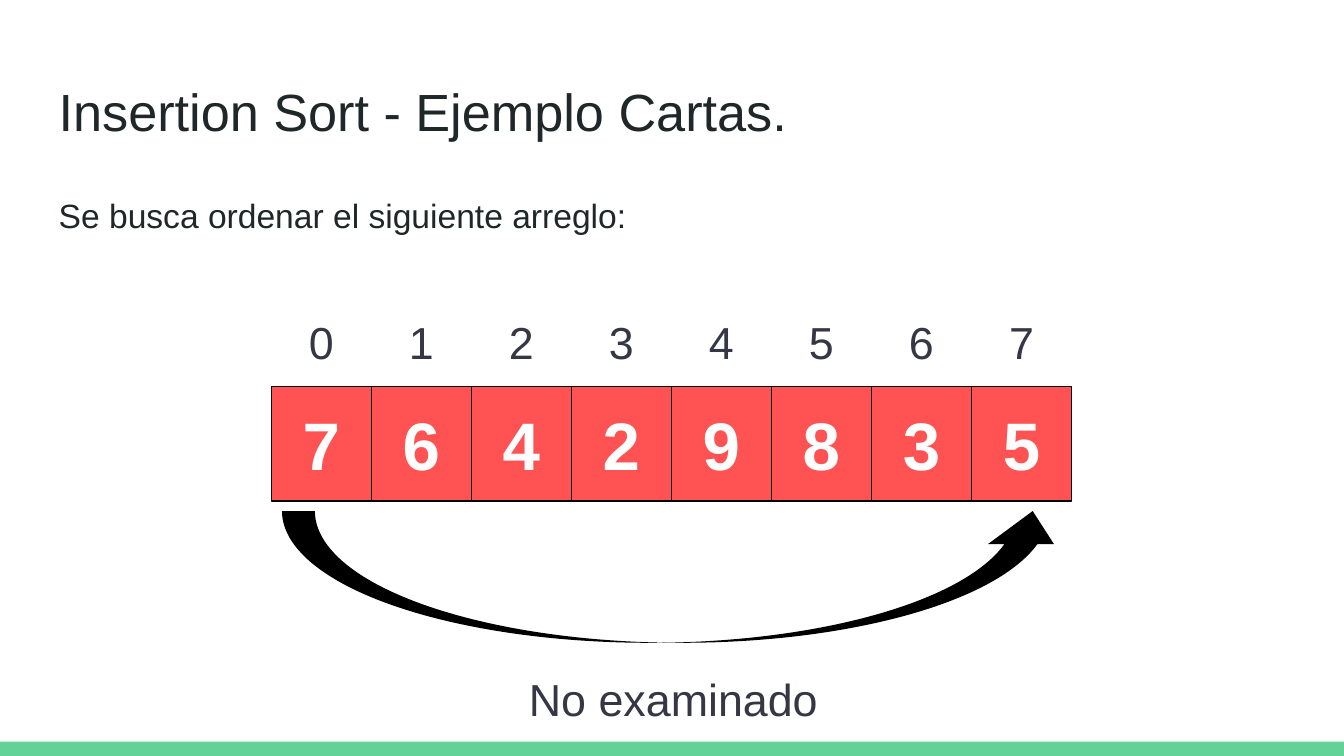
from dataclasses import dataclass

from lxml import etree
from pptx import Presentation
from pptx import util as u
from pptx.dml.color import RGBColor
from pptx.enum import shapes, text

COLORS = {
    "bar": "63D297",
    "cell": "FF5252",
    "outline": "000000",
    "arrow": "000000",
    "heading": "202729",
    "label": "353744",
    "value": "FFFFFF",
}
FONT = "Arial"
VALUES = (7, 6, 4, 2, 9, 8, 3, 5)
ARRAY_LEFT = 5.13
CELL_WIDTH = 1.89
LABEL_HEIGHT = 1.6


@dataclass(frozen=True)
class Box:
    left: float
    top: float
    width: float
    height: float

    def lengths(self) -> tuple:
        return tuple(u.Cm(side) for side in (self.left, self.top, self.width, self.height))


@dataclass(frozen=True)
class Style:
    size: int
    color: str
    align: text.PP_ALIGN = text.PP_ALIGN.CENTER
    anchor: text.MSO_ANCHOR = text.MSO_ANCHOR.BOTTOM
    bold: bool = False


HEADING = Style(28, "heading", text.PP_ALIGN.LEFT, text.MSO_ANCHOR.TOP)
SUBHEADING = Style(18, "heading", text.PP_ALIGN.LEFT, text.MSO_ANCHOR.TOP)
LABEL = Style(24, "label")
VALUE = Style(36, "value", anchor=text.MSO_ANCHOR.MIDDLE, bold=True)


def rgb(name: str) -> RGBColor:
    return RGBColor.from_string(COLORS[name])


def write(shape, words: str, style: Style) -> None:
    frame = shape.text_frame
    frame.word_wrap = True
    frame.vertical_anchor = style.anchor
    frame.margin_left = frame.margin_right = u.Cm(0.25)
    frame.margin_top = frame.margin_bottom = u.Cm(0.25)
    paragraph = frame.paragraphs[0]
    paragraph.text = words
    paragraph.alignment = style.align
    paragraph.font.name = FONT
    paragraph.font.size = u.Pt(style.size)
    paragraph.font.bold = style.bold
    paragraph.font.color.rgb = rgb(style.color)


def add_label(slide, box: Box, words: str, style: Style) -> None:
    write(slide.shapes.add_textbox(*box.lengths()), words, style)


def add_filled(slide, kind: shapes.MSO_SHAPE, box: Box, color: str):
    shape = slide.shapes.add_shape(kind, *box.lengths())
    shape.shadow.inherit = False
    shape.fill.solid()
    shape.fill.fore_color.rgb = rgb(color)
    shape.line.fill.background()
    return shape


def add_cell(slide, index: int, value: int) -> None:
    left = ARRAY_LEFT + index * CELL_WIDTH
    cell = add_filled(slide, shapes.MSO_SHAPE.RECTANGLE, Box(left, 7.31, CELL_WIDTH, 2.16), "cell")
    cell.line.color.rgb = rgb("outline")
    cell.line.width = u.Pt(0.75)
    write(cell, str(value), VALUE)
    add_label(slide, Box(left, 5.61, CELL_WIDTH, LABEL_HEIGHT), str(index), LABEL)


def add_sweep_arrow(slide, box: Box) -> None:
    arrow = add_filled(slide, shapes.MSO_SHAPE.CURVED_DOWN_ARROW, box, "arrow")
    arrow.rotation = 180
    arrow._element.spPr.get_or_add_xfrm().set("flipH", "1")


def main() -> None:
    presentation = Presentation()
    presentation.slide_width = u.Cm(25.4)
    presentation.slide_height = u.Cm(14.29)
    slide = presentation.slides.add_slide(presentation.slide_layouts[6])

    add_filled(slide, shapes.MSO_SHAPE.RECTANGLE, Box(0, 14.02, 25.4, 0.27), "bar")
    add_label(slide, Box(0.86, 1.24, 23.67, LABEL_HEIGHT), "Insertion Sort - Ejemplo Cartas.", HEADING)
    add_label(slide, Box(0.86, 3.43, 23.67, LABEL_HEIGHT), "Se busca ordenar el siguiente arreglo:", SUBHEADING)
    for index, value in enumerate(VALUES):
        add_cell(slide, index, value)
    add_sweep_arrow(slide, Box(5.33, 9.66, 14.81, 2.49))
    add_label(slide, Box(9.5, 12.37, 6.45, LABEL_HEIGHT), "No examinado", LABEL)

    presentation.save("out.pptx")


if __name__ == "__main__":
    main()
